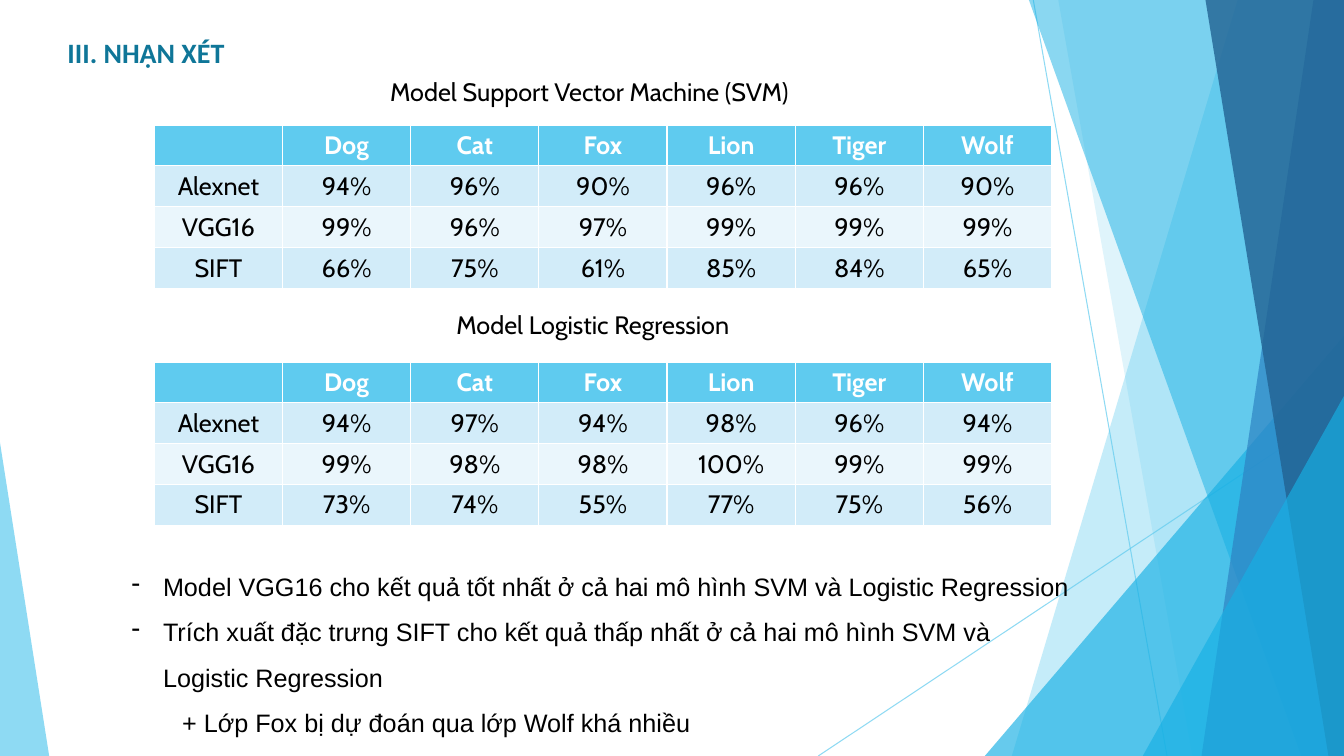
from lxml import etree
from pptx import Presentation
from pptx.dml.color import RGBColor
from pptx.enum.shapes import MSO_CONNECTOR, MSO_SHAPE
from pptx.enum.text import PP_ALIGN
from pptx.oxml.ns import qn
from pptx.util import Cm, Pt

STRAIGHT = MSO_CONNECTOR.STRAIGHT
TRIANGLE = MSO_SHAPE.ISOSCELES_TRIANGLE
CENTER = PP_ALIGN.CENTER

SKY = RGBColor(0x5F, 0xCB, 0xEF)
CYAN = RGBColor(0x17, 0xB0, 0xE4)
BLUE = RGBColor(0x2E, 0x83, 0xC3)
NAVY = RGBColor(0x22, 0x62, 0x92)
TEAL = RGBColor(0x0F, 0x76, 0x98)
ROW_DARK = RGBColor(0xD2, 0xEC, 0xF9)
ROW_LIGHT = RGBColor(0xEA, 0xF6, 0xFC)
WHITE = RGBColor(0xFF, 0xFF, 0xFF)
BLACK = RGBColor(0, 0, 0)

# Lengths are centimetres
SLIDE_W, SLIDE_H = 33.87, 19.05
TABLE_LEFT, COLUMN_W, ROW_H = 3.89, 3.23, 1.03

HEADING = ("III. NHẬN XÉT", (1.45, 0.76, 15.49, 1.12))
ANIMALS = ["", "Dog", "Cat", "Fox", "Lion", "Tiger", "Wolf"]
# caption, caption box, table top, accuracy in percent
MODELS = [
    ("Model Support Vector Machine (SVM)", (9.58, 1.8, 11.18, 1.02), 3.15,
     {"Alexnet": [94, 96, 90, 96, 96, 90],
      "VGG16": [99, 96, 97, 99, 99, 99],
      "SIFT": [66, 75, 61, 85, 84, 65]}),
    ("Model Logistic Regression", (11.25, 7.67, 7.82, 1.02), 9.12,
     {"Alexnet": [94, 97, 94, 98, 96, 94],
      "VGG16": [99, 98, 98, 100, 99, 99],
      "SIFT": [73, 74, 55, 77, 75, 56]}),
]
REMARKS_BOX = (3.07, 13.89, 24.16, 4.72)
# text, bulleted
REMARKS = [
    ("Model VGG16 cho kết quả tốt nhất ở cả hai mô hình SVM và Logistic Regression", True),
    ("Trích xuất đặc trưng SIFT cho kết quả thấp nhất ở cả hai mô hình SVM và "
     "Logistic Regression", True),
    ("+ Lớp Fox bị dự đoán qua lớp Wolf khá nhiều", False),
]

RAYS = [(26.04, 0, 29.41, SLIDE_H), (SLIDE_W, 10.24, 20.62, SLIDE_H)]
# Bands run to the right edge: x at top, x at bottom, colour, opacity
BACK_BANDS = [(31.19, 25.5, SKY, 36), (26.67, 30.05, SKY, 20)]
FRONT_BANDS = [(25.93, 32.79, CYAN, 50), (33.1, 30.28, BLUE, 70), (30.38, 33.48, NAVY, 80)]
# Corners stand on the bottom edge: left, width, height, apex, colour, opacity
BACK_CORNER = (24.82, 9.05, 10.59, 1, CYAN, 66)
FRONT_CORNERS = [(28.8, 5.07, 9.07, 1, CYAN, 66), (0, 1.24, 7.9, 0, SKY, 70)]


def set_opacity(fill_owner, percent):
    color = next(fill_owner.iter(qn("a:srgbClr")))
    etree.SubElement(color, qn("a:alpha"), val=str(percent * 1000))


def paint(shape, color, opacity):
    shape.shadow.inherit = False
    shape.fill.solid()
    shape.fill.fore_color.rgb = color
    shape.line.fill.background()
    set_opacity(shape.fill._xPr, opacity)


def add_ray(shapes, *ends):
    ray = shapes.add_connector(STRAIGHT, *map(Cm, ends))
    ray.line.color.rgb = SKY
    ray.line.width = Pt(0.75)
    properties = ray._element.spPr
    set_opacity(properties, 70)
    etree.SubElement(properties, qn("a:effectLst"))


def add_band(shapes, top_x, bottom_x, color, opacity):
    outline = shapes.build_freeform(Cm(top_x), Cm(0))
    corners = [(SLIDE_W, 0), (SLIDE_W, SLIDE_H), (bottom_x, SLIDE_H)]
    outline.add_line_segments([(Cm(x), Cm(y)) for x, y in corners], close=True)
    paint(outline.convert_to_shape(), color, opacity)


def add_corner(shapes, left, width, height, apex, color, opacity):
    corner = shapes.add_shape(TRIANGLE, Cm(left), Cm(SLIDE_H - height), Cm(width), Cm(height))
    corner.adjustments[0] = apex
    paint(corner, color, opacity)


def style(paragraph, font_name, color=BLACK, size=18, bold=False):
    font = paragraph.font
    font.name, font.size, font.bold = font_name, Pt(size), bold
    font.color.rgb = color


def add_text(shapes, box, lines):
    frame = shapes.add_textbox(*map(Cm, box)).text_frame
    frame.word_wrap = True
    frame.text = "\n".join(lines)
    return frame.paragraphs


def add_results(shapes, top, accuracy):
    rows = [ANIMALS] + [[name] + [f"{value}%" for value in values]
                        for name, values in accuracy.items()]
    table = shapes.add_table(len(rows), len(ANIMALS), Cm(TABLE_LEFT), Cm(top),
                             Cm(COLUMN_W * len(ANIMALS)), Cm(ROW_H * len(rows))).table
    for r, row in enumerate(rows):
        header = r == 0
        background = SKY if header else ROW_DARK if r % 2 else ROW_LIGHT
        for c, text in enumerate(row):
            cell = table.cell(r, c)
            cell.fill.solid()
            cell.fill.fore_color.rgb = background
            cell.text = text
            paragraph = cell.text_frame.paragraphs[0]
            paragraph.alignment = CENTER
            style(paragraph, "Cabin", WHITE if header else BLACK, bold=header)


def add_remarks(shapes):
    paragraphs = add_text(shapes, REMARKS_BOX, [text for text, _ in REMARKS])
    for paragraph, (_, bulleted) in zip(paragraphs, REMARKS):
        style(paragraph, "Arial")
        paragraph.line_spacing = 1.5
        properties = paragraph._p.get_or_add_pPr()
        properties.set("marL", str(Cm(0.79 if bulleted else 1.27)))
        if bulleted:
            properties.set("indent", str(-Cm(0.79)))
            bullet = etree.Element(qn("a:buChar"), char="-")
            properties.find(qn("a:defRPr")).addprevious(bullet)


def main():
    presentation = Presentation()
    presentation.slide_width, presentation.slide_height = Cm(SLIDE_W), Cm(SLIDE_H)
    shapes = presentation.slides.add_slide(presentation.slide_layouts[6]).shapes

    for ray in RAYS:
        add_ray(shapes, *ray)
    for band in BACK_BANDS:
        add_band(shapes, *band)
    add_corner(shapes, *BACK_CORNER)
    for band in FRONT_BANDS:
        add_band(shapes, *band)
    for corner in FRONT_CORNERS:
        add_corner(shapes, *corner)

    heading, heading_box = HEADING
    style(add_text(shapes, heading_box, [heading])[0], "Calibri", TEAL, 20, True)
    for caption, caption_box, table_top, accuracy in MODELS:
        add_results(shapes, table_top, accuracy)
        style(add_text(shapes, caption_box, [caption])[0], "Cabin")
    add_remarks(shapes)
    presentation.save("out.pptx")


if __name__ == "__main__":
    main()
